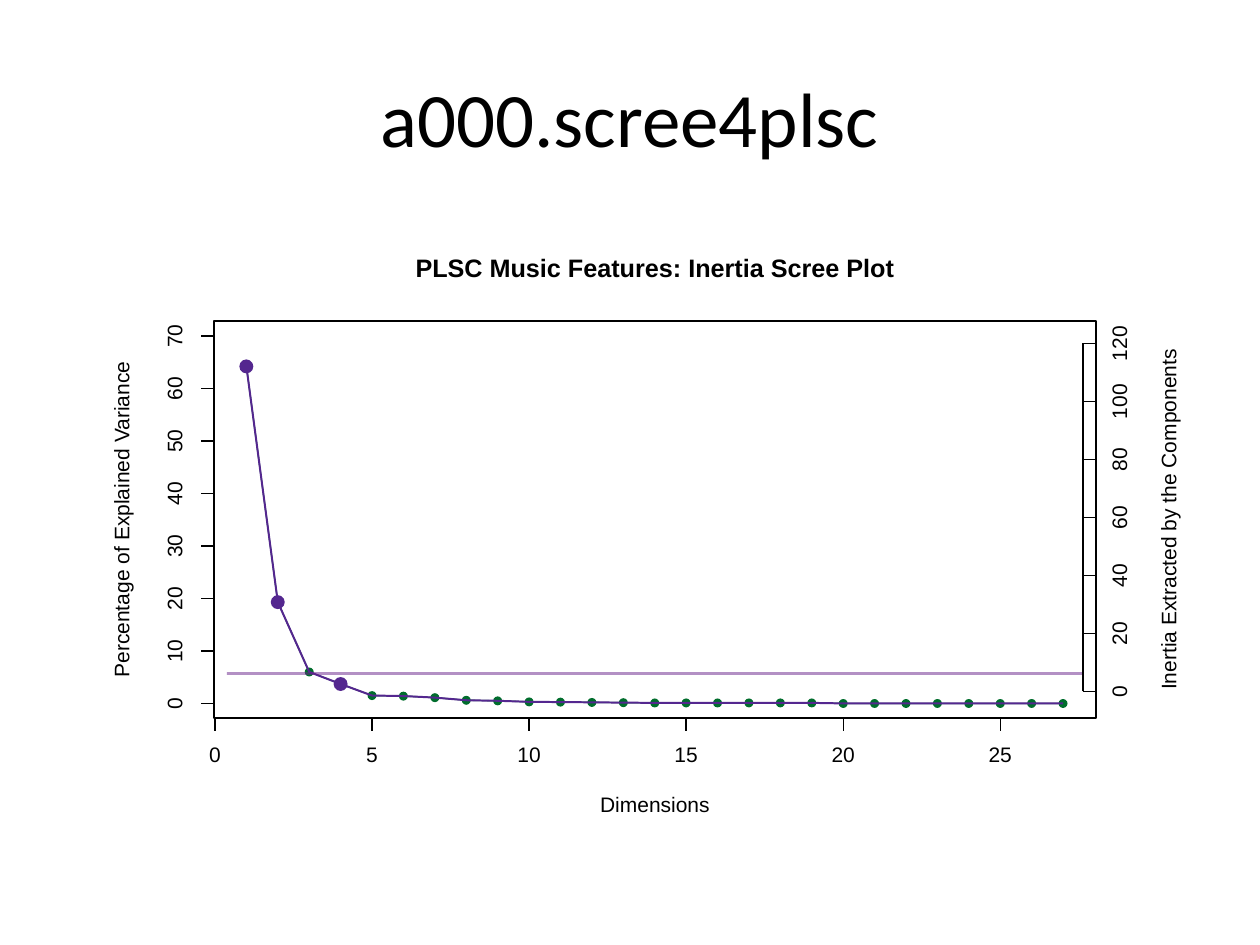
from lxml.etree import SubElement
from pptx import Presentation
from pptx.dml.color import RGBColor
from pptx.enum.shapes import MSO_CONNECTOR, MSO_SHAPE
from pptx.enum.text import MSO_ANCHOR, PP_ALIGN
from pptx.oxml.ns import qn
from pptx.util import Pt

EMU_PER_PX = 914400 // 126
BLACK, WHITE, GREEN, PURPLE, VIOLET = "000000", "FFFFFF", "006D2C", "54278F", "68228B"

VARIANCE = [64.2, 19.3, 6, 3.7, 1.5, 1.4, 1.1, 0.6, 0.5, 0.3, 0.25, 0.2, 0.15,
            0.1, 0.1, 0.1, 0.1, 0.1, 0.1] + [0] * 8
SIGNIFICANT = [1, 2, 4]
MEAN_VARIANCE = 5.7


def px(n):
    return round(n * EMU_PER_PX)


def color(value):
    return RGBColor.from_string(value)


def set_line(line, value, width=0.75):
    line.color.rgb = color(value)
    line.width = Pt(width)


def add_rule(shapes, x1, y1, x2, y2, value=BLACK, width=0.75):
    c = shapes.add_connector(MSO_CONNECTOR.STRAIGHT, px(x1), px(y1), px(x2), px(y2))
    set_line(c.line, value, width)
    SubElement(c._element.spPr, qn("a:effectLst"))
    return c


def add_shape(shapes, kind, x, y, w, h, fill=None, line=None):
    sp = shapes.add_shape(kind, px(x), px(y), px(w), px(h))
    sp.shadow.inherit = False
    if fill:
        sp.fill.solid()
        sp.fill.fore_color.rgb = color(fill)
    else:
        sp.fill.background()
    if line:
        set_line(sp.line, line)
    else:
        sp.line.fill.background()
    return sp


def add_label(shapes, text, cx, cy, w, h=15, size=12, bold=False, rotation=0):
    """Place one line of text centred on (cx, cy)."""
    sp = shapes.add_textbox(px(cx - w / 2), px(cy - h / 2), px(w), px(h))
    sp.rotation = rotation
    tf = sp.text_frame
    tf.word_wrap = False
    tf.vertical_anchor = MSO_ANCHOR.MIDDLE
    tf.margin_left = tf.margin_right = tf.margin_top = tf.margin_bottom = 0
    p = tf.paragraphs[0]
    p.alignment = PP_ALIGN.CENTER
    p.line_spacing = Pt(size)
    r = p.add_run()
    r.text = text
    r.font.name = "Arial"
    r.font.size = Pt(size)
    r.font.bold = bold
    r.font.color.rgb = color(BLACK)


def add_tick_label(shapes, value, cx, cy, rotation=0):
    text = str(value)
    add_label(shapes, text, cx, cy, 12 * len(text), rotation=rotation)


def add_curve(shapes, points, value, width):
    (x, y), *rest = [(px(x), px(y)) for x, y in points]
    builder = shapes.build_freeform(x, y, scale=1.0)
    builder.add_line_segments(rest, close=False)
    sp = builder.convert_to_shape()
    sp.shadow.inherit = False
    sp.fill.background()
    set_line(sp.line, value, width)


def add_dots(shapes, points, diameter, fill):
    for x, y in points:
        add_shape(shapes, MSO_SHAPE.OVAL, x - diameter / 2, y - diameter / 2,
                  diameter, diameter, fill)


def add_dimension_axis(shapes, x_at, y):
    add_rule(shapes, x_at(0), y, x_at(25), y)
    for value in range(0, 26, 5):
        x = x_at(value)
        add_rule(shapes, x, y, x, y + 13)
        add_tick_label(shapes, value, x, y + 38)


def add_vertical_axis(shapes, x, y_at, values, tick, label_offset):
    add_rule(shapes, x, y_at(values[0]), x, y_at(values[-1]))
    for value in values:
        y = y_at(value)
        add_rule(shapes, x, y, x + tick, y)
        add_tick_label(shapes, value, x + label_offset, y, rotation=270)


def add_scree_plot(shapes, left, top, width, height):
    """Draw the plot; the box is the frame around its data."""
    right, bottom = left + width, top + height
    center, middle = left + width / 2, top + height / 2

    def x_at(dimension):
        return left + 1 + 31.41 * dimension

    def y_at(percent):
        return bottom - 14.5 - 5.25 * percent

    def inertia_y(inertia):
        return bottom - 26.5 - 2.9 * inertia

    points = [(x_at(i), y_at(v)) for i, v in enumerate(VARIANCE, 1)]

    add_curve(shapes, points, GREEN, 0.75)
    add_dimension_axis(shapes, x_at, bottom)
    add_vertical_axis(shapes, left, y_at, range(0, 71, 10), -13, -38)
    add_shape(shapes, MSO_SHAPE.RECTANGLE, left, top, width, height, line=BLACK)
    add_label(shapes, "PLSC Music Features: Inertia Scree Plot", center, top - 51,
              479, 19, size=14.4, bold=True)
    add_label(shapes, "Dimensions", center, bottom + 88, 110)
    add_label(shapes, "Percentage of Explained Variance", left - 91, middle,
              318, 20, rotation=270)

    add_dots(shapes, points, 9, GREEN)
    add_curve(shapes, points, PURPLE, 1.12)
    add_dots(shapes, [points[i - 1] for i in SIGNIFICANT], 14, PURPLE)

    y = y_at(MEAN_VARIANCE)
    mean_line = add_rule(shapes, left + 13, y, right - 13, y, VIOLET, 1.5)
    srgb = mean_line._element.spPr.find(".//" + qn("a:srgbClr"))
    SubElement(srgb, qn("a:alpha"), val="50000")

    add_label(shapes, "Inertia Extracted by the Components", right + 74, middle,
              341, 20, rotation=270)
    add_vertical_axis(shapes, right - 13, inertia_y, range(0, 121, 20), 13, 38)


def add_title(s, text, x, y, w, h):
    sp = s.shapes.title
    sp.left, sp.top, sp.width, sp.height = px(x), px(y), px(w), px(h)
    tf = sp.text_frame
    tf.vertical_anchor = MSO_ANCHOR.MIDDLE
    p = tf.paragraphs[0]
    p.alignment = PP_ALIGN.CENTER
    r = p.add_run()
    r.text = text
    r.font.name = "Calibri"
    r.font.size = Pt(44)
    r.font.color.rgb = color(BLACK)


def main():
    prs = Presentation()
    prs.slide_width, prs.slide_height = px(1260), px(945)
    s = prs.slides.add_slide(prs.slide_layouts[5])
    add_title(s, "a000.scree4plsc", 63, 38, 1134, 157)
    shapes = s.shapes.add_group_shape().shapes
    add_shape(shapes, MSO_SHAPE.RECTANGLE, 63, 221, 1134, 624, WHITE, WHITE)
    add_scree_plot(shapes, 214, 321, 882, 397)
    prs.save("out.pptx")


if __name__ == "__main__":
    main()
